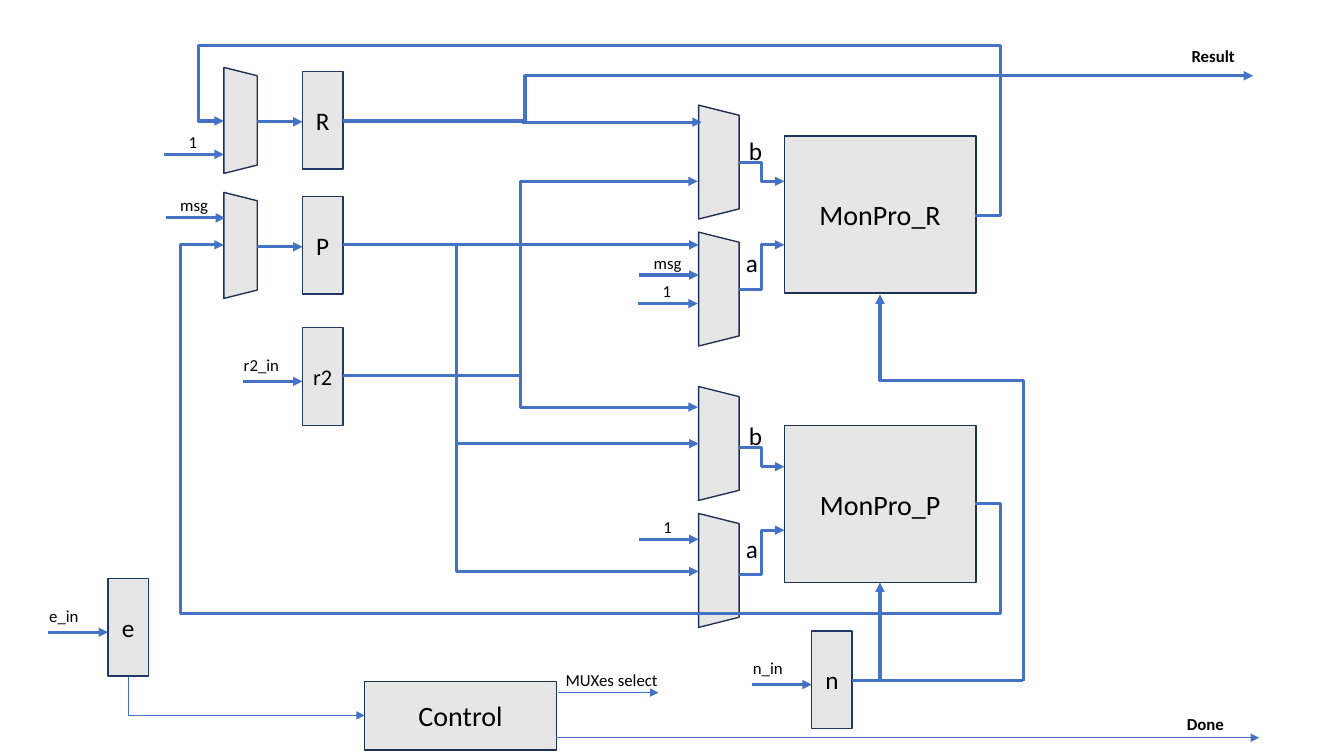
import dataclasses
import itertools

import lxml.etree
import pptx
import pptx.dml.color
import pptx.enum.shapes
import pptx.enum.text
import pptx.oxml.ns
import pptx.util

Cm = pptx.util.Cm
Shape = pptx.enum.shapes.MSO_SHAPE
Align = pptx.enum.text.PP_ALIGN
Anchor = pptx.enum.text.MSO_ANCHOR


@dataclasses.dataclass(frozen=True)
class Theme:
    """Colours, font and sizes shared by the whole diagram."""
    font: str = "Calibri"
    ink: str = "000000"
    fill: str = "E7E6E6"
    register_edge: str = "203864"
    block_edge: str = "1E3256"
    wire: str = "4472C4"
    block_size: int = 20
    register_size: int = 18
    small_register_size: int = 16
    label_size: int = 12
    bus: float = 2.25
    thin: float = 0.5


@dataclasses.dataclass(frozen=True)
class Box:
    """A rectangle in centimetres."""
    left: float
    top: float
    width: float
    height: float

    def inner(self, left, top, width, height):
        """Return a box placed relative to this one."""
        return Box(self.left + left, self.top + top, width, height)

    def lengths(self):
        """Return the four sides as slide lengths."""
        return [Cm(side) for side in dataclasses.astuple(self)]


THEME = Theme()
REGISTER = (1.02, 2.46)


def colour(code):
    """Turn a hex code into a colour."""
    return pptx.dml.color.RGBColor.from_string(code)


def write(shape, text, size, align, bold=False):
    """Put one formatted paragraph into a shape."""
    frame = shape.text_frame
    frame.word_wrap = True
    frame.margin_left = frame.margin_right = 0
    para = frame.paragraphs[0]
    para.text = text
    para.alignment = align
    para.font.name = THEME.font
    para.font.size = pptx.util.Pt(size)
    para.font.bold = bold
    para.font.color.rgb = colour(THEME.ink)
    return para


def label(page, box, text, size=THEME.label_size, align=Align.LEFT, bold=False):
    """Add a free-standing label."""
    return write(page.shapes.add_textbox(*box.lengths()), text, size, align, bold)


def block(page, box, kind, edge, text="", size=THEME.block_size):
    """Add a grey outlined component."""
    shape = page.shapes.add_shape(kind, *box.lengths())
    shape.shadow.inherit = False
    shape.fill.solid()
    shape.fill.fore_color.rgb = colour(THEME.fill)
    shape.line.color.rgb = colour(edge)
    shape.line.width = pptx.util.Pt(1)
    if text:
        shape.text_frame.vertical_anchor = Anchor.MIDDLE
        write(shape, text, size, Align.CENTER)
    return shape


def mux(page, box):
    """Add a multiplexer that narrows to the right."""
    left = (box.width - box.height) / 2
    upright = box.inner(left, -left, box.height, box.width)
    block(page, upright, Shape.TRAPEZOID, THEME.block_edge).rotation = 90


def wire(page, box, route, weight=THEME.bus, arrow=True, vertical=False):
    """Draw a wire from a start point through alternating x and y stops."""
    x, y = route[:2]
    points = [(x, y)]
    axes = itertools.cycle((False, True) if not vertical else (True, False))
    for stop, down in zip(route[2:], axes):
        x, y = (x, stop) if down else (stop, y)
        points.append((x, y))
    (x0, y0), (x1, y1) = points[0], points[-1]
    local = [(y0 - y, x - x0) if vertical else (x - x0, y - y0) for x, y in points]
    reach = local[-1]
    middle = (box.left + (x0 + x1) / 2, box.top + (y0 + y1) / 2)
    ends = [Cm(centre + side * span / 2)
            for side in (-1, 1) for centre, span in zip(middle, reach)]
    kinds = pptx.enum.shapes.MSO_CONNECTOR
    kind = kinds.STRAIGHT if len(points) == 2 else kinds.ELBOW
    connector = page.shapes.add_connector(kind, *ends)
    connector.line.color.rgb = colour(THEME.wire)
    connector.line.width = pptx.util.Pt(weight)
    name = pptx.oxml.ns.qn
    properties = connector.element.spPr
    if vertical:
        properties.find(name("a:xfrm")).set("rot", "16200000")
    if len(points) > 2:
        geometry = properties.find(name("a:prstGeom"))
        geometry.set("prst", f"bentConnector{len(points) - 1}")
        guides = geometry.find(name("a:avLst"))
        for turn in range(1, len(points) - 2):
            axis = (turn - 1) % 2
            share = round(100000 * local[turn][axis] / reach[axis])
            lxml.etree.SubElement(guides, name("a:gd"), name=f"adj{turn}", fmla=f"val {share}")
    if arrow:
        outline = properties.find(name("a:ln"))
        lxml.etree.SubElement(outline, name("a:tailEnd"), type="triangle")
    lxml.etree.SubElement(properties, name("a:effectLst"))


def signal_input(page, box, text):
    """Add a constant or message input with its caption above."""
    wire(page, box, (0, 0, box.width))
    caption = label(page, box.inner(0.1, -0.64, 1.24, 0.84), text, align=Align.CENTER)
    caption.line_spacing = 0.9


def register(page, box, text, size=THEME.register_size):
    """Add a register."""
    block(page, box, Shape.RECTANGLE, THEME.register_edge, text, size)


def loaded_register(page, box, text, size=THEME.register_size):
    """Add a register with its own load input."""
    register(page, box, text, size)
    wire(page, box, (-1.5, 1.35, 0))
    label(page, box.inner(-1.48, 0.55, 1.5, 0.76), f"{text}_in")


def selected_register(page, box, text):
    """Add a register fed by a multiplexer."""
    mux(page, box.inner(0, 0, 0.84, 2.67))
    register(page, box.inner(1.98, 0.1, *REGISTER), text)
    wire(page, box, (0.84, 1.37, 1.98))


def multiplier(page, box, text, lift=0):
    """Add a Montgomery multiplier with its two operand multiplexers."""
    block(page, box.inner(2.16, 0.78, 4.83, 3.96), Shape.RECTANGLE, THEME.block_edge, text)
    operands = box.inner(0, -lift / 2, box.width, box.height)
    for top in (0, 3.2):
        mux(page, box.inner(0, top - lift, 1.02, 2.87))
    for start, end in ((1.44, 1.92), (4.64, 3.52)):
        wire(page, operands, (1.02, start, 1.58, end, 2.16))
    for name, left, top in (("b", 1.27, 0.63), ("a", 1.19, 3.47)):
        label(page, operands.inner(left, top, 0.5, 1.02), name, THEME.register_size)


def controller(page, box):
    """Add the control block and its outputs."""
    block(page, box, Shape.RECTANGLE, THEME.block_edge, "Control")
    wire(page, box, (4.88, 0.28, 7.4), THEME.thin)
    wire(page, box, (4.83, 1.42, 22.53), THEME.thin)
    label(page, box.inner(5.06, -0.43, 2.8, 0.76), "MUXes select")
    label(page, box.inner(20.71, 0.69, 1.4, 0.76), "Done", bold=True)


def trunk_wiring(page, box):
    """Connect registers, multipliers and the result output."""
    r_out, p_out, r2_out, n_out = (8.64, 3.05), (8.64, 6.17), (8.64, 9.47), (21.46, 17.15)
    for route in (
        (*r_out, 13.16, 3.08, 17.68),
        (*r_out, 13.23, 1.91, 31.57),
        (*p_out, 17.6),
        (*p_out, 11.51, 11.18, 17.6),
        (*p_out, 11.51, 14.4, 17.6),
        (*r2_out, 13.11, 4.57, 17.58),
        (*r2_out, 13.11, 10.26, 17.58),
        (*n_out, 22.17, 14.68),
        (24.57, 5.44, 25.22, 1.14, 5, 3.05, 5.64),
        (24.57, 12.7, 25.22, 15.47, 4.55, 6.17, 5.64),
    ):
        wire(page, box, route)
    wire(page, box, (*n_out, 25.78), arrow=False)
    wire(page, box, (25.78, 17.15, 9.58, 22.17, 7.42), vertical=True)
    wire(page, box, (3.23, 17.07, 18.03, 9.19), THEME.thin, vertical=True)
    label(page, box.inner(30.02, 1.04, 1.4, 0.76), "Result", bold=True)


def main():
    """Build the exponentiation datapath slide."""
    deck = pptx.Presentation()
    canvas = Box(0, 0, 33.86, 19.05)
    deck.slide_width, deck.slide_height = canvas.lengths()[2:]
    page = deck.slides.add_slide(deck.slide_layouts[6])
    for text, top in (("R", 1.7), ("P", 4.85)):
        selected_register(page, canvas.inner(5.64, top, 3, 2.67), text)
    loaded_register(page, canvas.inner(7.62, 8.26, *REGISTER), "r2", THEME.small_register_size)
    loaded_register(page, canvas.inner(2.72, 14.58, *REGISTER), "e")
    loaded_register(page, canvas.inner(20.45, 15.9, *REGISTER), "n")
    for text, top, lift in (("MonPro_R", 2.65, 0), ("MonPro_P", 9.94, 0.2)):
        multiplier(page, canvas.inner(17.6, top, 6.99, 6.07), text, lift)
    controller(page, canvas.inner(9.19, 17.17, 4.83, 1.73))
    trunk_wiring(page, canvas)
    for text, left, top in (("1", 4.14, 3.89), ("msg", 4.17, 5.49), ("msg", 16.1, 6.93),
                            ("1", 16.08, 7.65), ("1", 16.1, 13.59)):
        signal_input(page, canvas.inner(left, top, 1.5, 0), text)
    deck.save("out.pptx")


if __name__ == "__main__":
    main()
